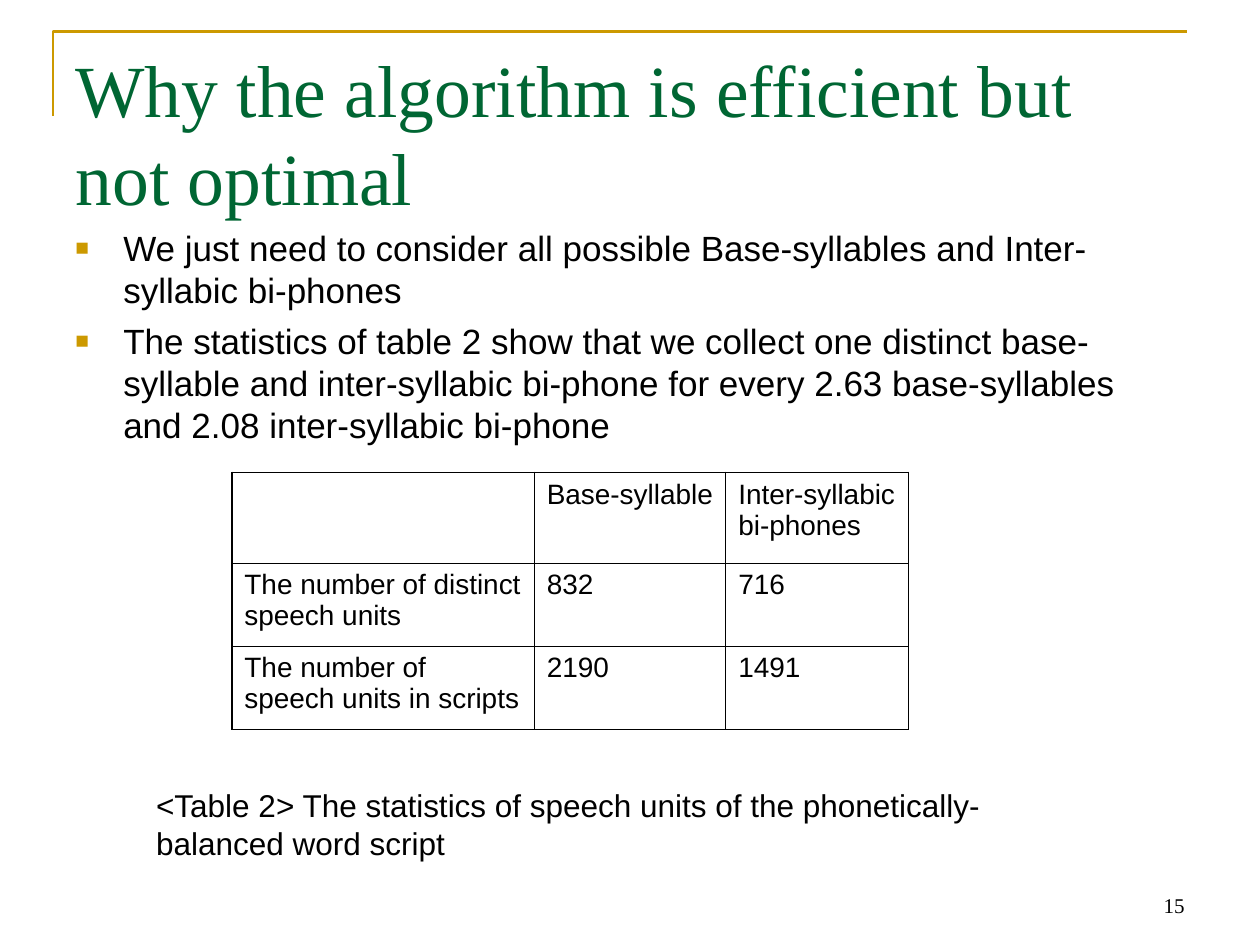
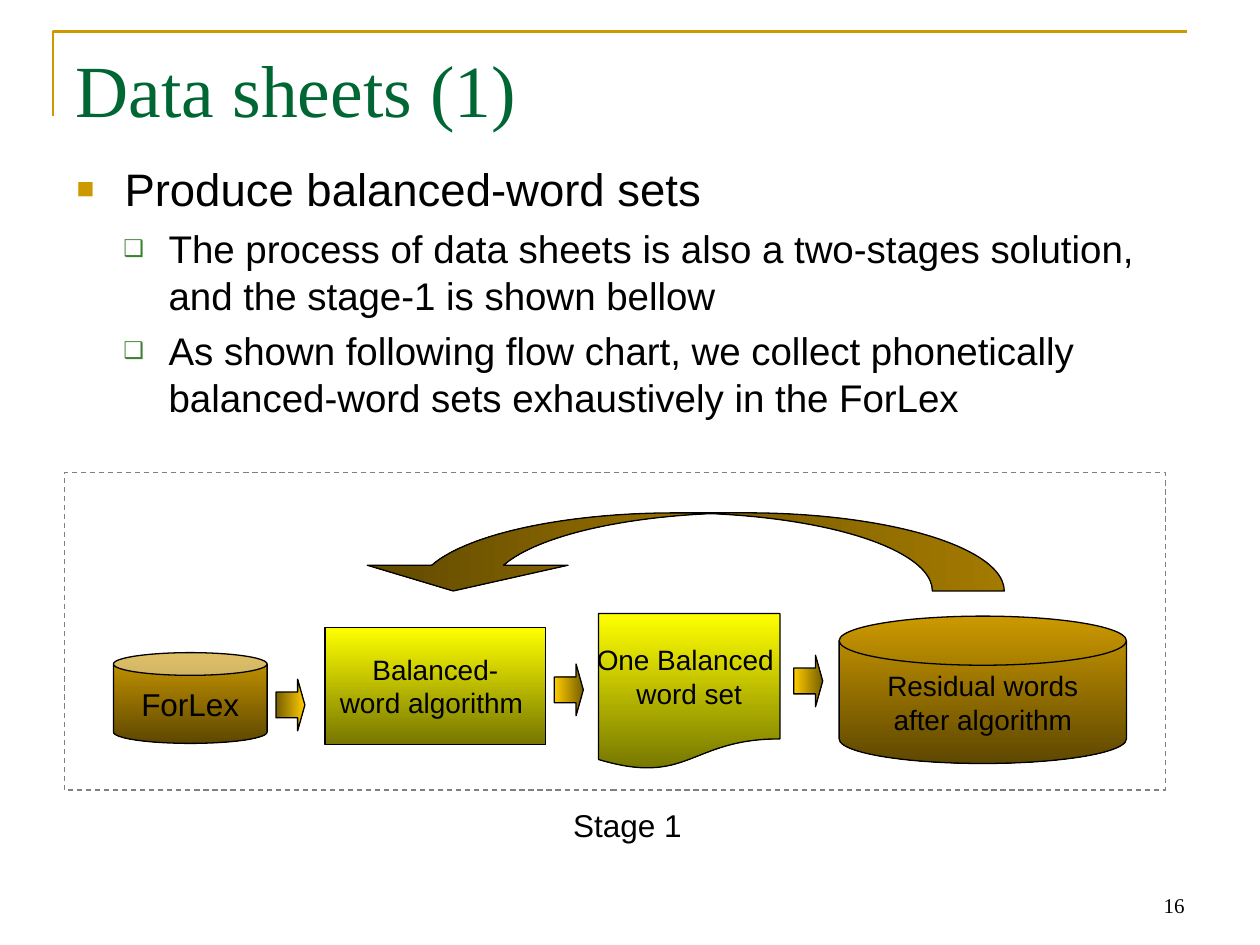
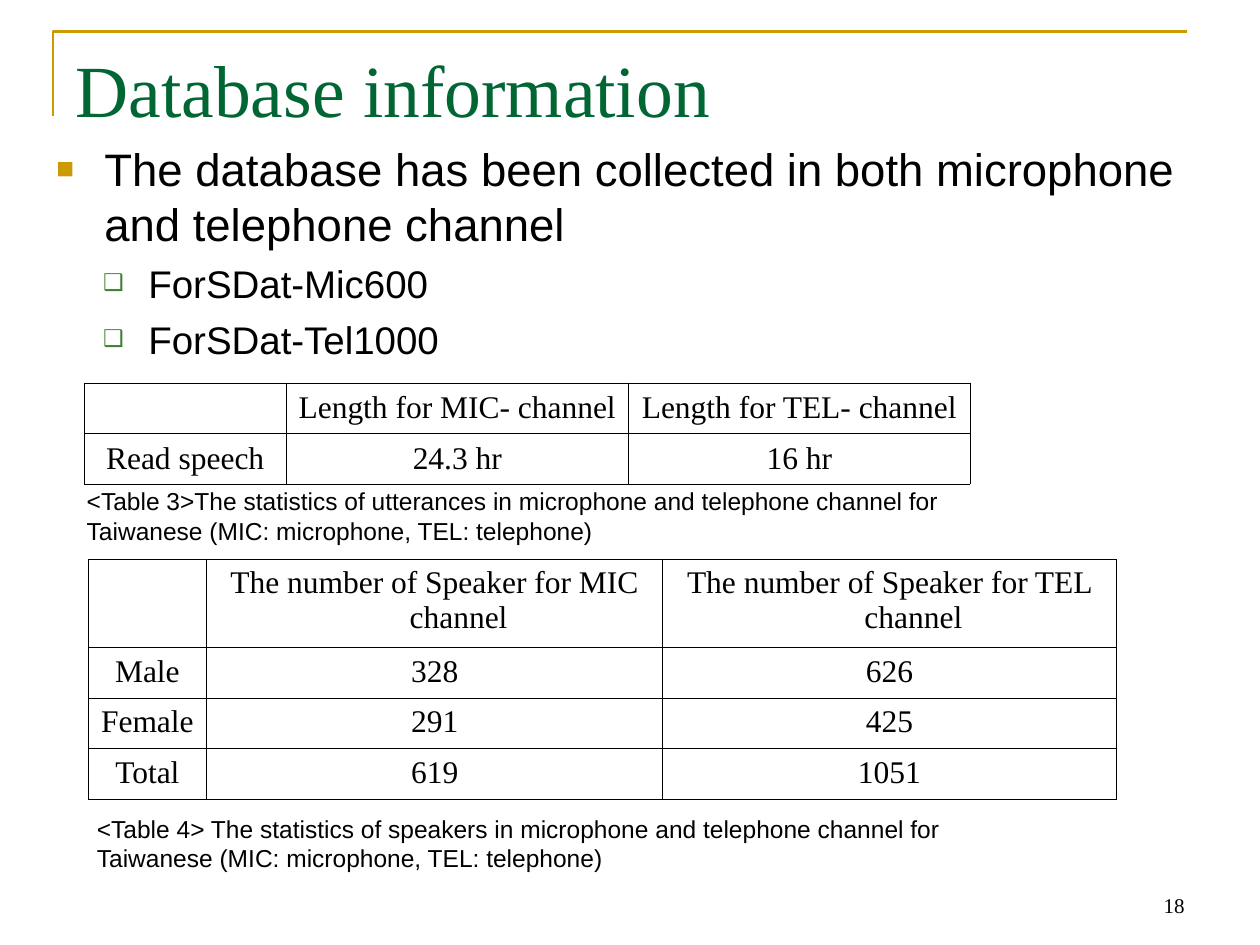
from dataclasses import dataclass

from lxml import etree
from pptx import Presentation
from pptx.dml.color import RGBColor
from pptx.enum.dml import MSO_LINE
from pptx.enum.shapes import MSO_SHAPE
from pptx.enum.text import MSO_ANCHOR, PP_ALIGN
from pptx.oxml.ns import qn
from pptx.util import Inches, Pt

DASH = MSO_LINE.DASH
LEFT, CENTER, RIGHT = PP_ALIGN.LEFT, PP_ALIGN.CENTER, PP_ALIGN.RIGHT
TOP, MIDDLE, BOTTOM = MSO_ANCHOR.TOP, MSO_ANCHOR.MIDDLE, MSO_ANCHOR.BOTTOM
CAN, PROCESS = MSO_SHAPE.CAN, MSO_SHAPE.FLOWCHART_PROCESS
DOCUMENT, DISK = MSO_SHAPE.FLOWCHART_DOCUMENT, MSO_SHAPE.FLOWCHART_MAGNETIC_DISK
RIGHT_ARROW, CURVED_ARROW = MSO_SHAPE.RIGHT_ARROW, MSO_SHAPE.CURVED_UP_ARROW
RECTANGLE = MSO_SHAPE.RECTANGLE

SANS, SERIF = "Arial", "Times New Roman"
BLACK, GREEN, GOLD, GRAY = "000000", "006633", "CC9900", "808080"
GOLD_SHADE = (GOLD, "5E4700")
YELLOW_SHADE = ("FFFF00", "767600")
ARROW_SHADE = ("FFCC00", "765E00")
THIN, THICK = 0.45, 1.08

Box = tuple[float, float, float, float]


@dataclass(frozen=True)
class BulletStyle:
    symbol: str
    color: str
    percent: int
    margin: float
    hanging: float


@dataclass(frozen=True)
class Bullet:
    text: str
    size: float
    level: int = 0


@dataclass(frozen=True)
class FlowShape:
    kind: int
    box: Box
    shade: tuple[str, str]
    angle: int = 270
    lines: tuple[str, ...] = ()
    size: float = 16
    adjustments: tuple[float, ...] = ()
    rotation: int = 0


@dataclass(frozen=True)
class TableStyle:
    font: str
    size: float
    align: int = LEFT
    anchor: int = TOP
    outer_border: float = THIN
    hanging: float = 0


BULLET_STYLES = (
    BulletStyle("■", GOLD, 65, 0.38, 0.38),
    BulletStyle("❑", "3B812F", 60, 0.73, 0.36),
)

FLOW_SHAPES = (
    FlowShape(CAN, (0.9, 5.18, 1.22, 0.72), GOLD_SHADE, lines=("ForLex",), size=18,
              adjustments=(0.25,)),
    FlowShape(PROCESS, (2.58, 4.98, 1.75, 0.93), YELLOW_SHADE,
              lines=("Balanced-", "word algorithm ")),
    FlowShape(RIGHT_ARROW, (2.19, 5.39, 0.23, 0.41), ARROW_SHADE[::-1], 0,
              adjustments=(0.5, 0.25)),
    FlowShape(RIGHT_ARROW, (4.4, 5.27, 0.23, 0.41), ARROW_SHADE, 0, adjustments=(0.5, 0.25)),
    FlowShape(RIGHT_ARROW, (6.3, 5.2, 0.23, 0.41), ARROW_SHADE, 0, adjustments=(0.5, 0.25)),
    FlowShape(CURVED_ARROW, (2.8, 4.07, 5.17, 0.62), GOLD_SHADE, 0,
              adjustments=(0.92, 2.57, 0.33), rotation=180),
    FlowShape(DISK, (6.66, 4.89, 2.28, 1.17), GOLD_SHADE,
              lines=("Residual words", "after algorithm")),
    FlowShape(DOCUMENT, (4.75, 4.87, 1.44, 1.24), YELLOW_SHADE,
              lines=("One Balanced ", "word set")),
)


def rgb(color: str) -> RGBColor:
    return RGBColor.from_string(color)


def inches(box: Box) -> list[Inches]:
    return [Inches(value) for value in box]


def style(paragraph, font: str, size: float, color: str = BLACK, align: int = LEFT) -> None:
    paragraph.alignment = align
    paragraph.font.name = font
    paragraph.font.size = Pt(size)
    paragraph.font.color.rgb = rgb(color)


def hang(paragraph, margin: float, hanging: float) -> None:
    """Indent a paragraph and pull its first line back."""
    properties = paragraph._p.get_or_add_pPr()
    properties.set("marL", str(Inches(margin)))
    properties.set("indent", str(-Inches(hanging)))


def add_frame(slide, layout) -> None:
    """Put the corner line shared by all slides on the layout."""
    builder = slide.shapes.build_freeform(Inches(0.42), Inches(0.92))
    builder.add_line_segments(
        [(Inches(0.42), Inches(0.25)), (Inches(9.42), Inches(0.25))], close=False)
    frame = builder.convert_to_shape()
    frame.shadow.inherit = False
    frame.fill.background()
    frame.line.color.rgb = rgb(GOLD)
    frame.line.width = Pt(1.5)
    layout.shapes.element.append(frame.element)


def add_text(slide, box: Box, text: str, size: float, font: str = SANS,
             align: int = LEFT, anchor: int = TOP) -> None:
    frame = slide.shapes.add_textbox(*inches(box)).text_frame
    frame.word_wrap = True
    frame.vertical_anchor = anchor
    frame.text = text
    style(frame.paragraphs[0], font, size, align=align)


def add_slide(presentation, layout, title: str, number: int):
    slide = presentation.slides.add_slide(layout)
    shape = slide.shapes.title
    shape.left, shape.top, shape.width, shape.height = inches((0.5, 0.3, 9, 1.25))
    shape.text_frame.text = title
    shape.text_frame.vertical_anchor = TOP
    style(shape.text_frame.paragraphs[0], SERIF, 42, GREEN)
    add_text(slide, (7.17, 6.83, 2.33, 0.5), str(number), 12, SERIF, RIGHT, BOTTOM)
    return slide


def add_bullets(slide, box: Box, bullets: list[Bullet]) -> None:
    frame = slide.shapes.add_textbox(*inches(box)).text_frame
    frame.word_wrap = True
    for index, bullet in enumerate(bullets):
        paragraph = frame.add_paragraph() if index else frame.paragraphs[0]
        paragraph.text = bullet.text
        paragraph.level = bullet.level
        if index:
            paragraph.space_before = Pt(bullet.size / 4)
        look = BULLET_STYLES[bullet.level]
        hang(paragraph, look.margin, look.hanging)
        properties = paragraph._p.get_or_add_pPr()
        color = etree.SubElement(properties, qn("a:buClr"))
        etree.SubElement(color, qn("a:srgbClr"), val=look.color)
        etree.SubElement(properties, qn("a:buSzPct"), val=str(look.percent * 1000))
        etree.SubElement(properties, qn("a:buFont"), typeface=SANS)
        etree.SubElement(properties, qn("a:buChar"), char=look.symbol)
        style(paragraph, SANS, bullet.size)


def set_borders(cell, widths: dict[str, float]) -> None:
    properties = cell._tc.get_or_add_tcPr()
    for position, (side, width) in enumerate(widths.items()):
        line = etree.Element(qn(f"a:ln{side}"), w=str(Pt(width)))
        fill = etree.SubElement(line, qn("a:solidFill"))
        etree.SubElement(fill, qn("a:srgbClr"), val=BLACK)
        properties.insert(position, line)


def add_table(slide, left: float, top: float, widths: list[float], heights: list[float],
              rows: list[list[str]], look: TableStyle) -> None:
    box = (left, top, sum(widths), sum(heights))
    table = slide.shapes.add_table(len(rows), len(widths), *inches(box)).table
    table.first_row = table.horz_banding = False
    for column, width in zip(table.columns, widths):
        column.width = Inches(width)
    for row, height in zip(table.rows, heights):
        row.height = Inches(height)
    last_row, last_column = len(rows) - 1, len(widths) - 1
    for row_index, row in enumerate(rows):
        for column_index, text in enumerate(row):
            cell = table.cell(row_index, column_index)
            cell.text = text
            cell.vertical_anchor = look.anchor
            cell.fill.background()
            paragraph = cell.text_frame.paragraphs[0]
            hang(paragraph, look.hanging, look.hanging)
            style(paragraph, look.font, look.size, align=look.align)
            on_edge = {"L": column_index == 0, "R": column_index == last_column,
                       "T": row_index == 0, "B": row_index == last_row}
            set_borders(cell, {side: look.outer_border if edge else THIN
                               for side, edge in on_edge.items()})


def add_flow_shape(slide, item: FlowShape) -> None:
    shape = slide.shapes.add_shape(item.kind, *inches(item.box))
    shape.shadow.inherit = False
    shape.rotation = item.rotation
    for index, value in enumerate(item.adjustments):
        shape.adjustments[index] = value
    shape.fill.gradient()
    shape.fill.gradient_angle = item.angle
    for stop, color in zip(shape.fill.gradient_stops, item.shade):
        stop.color.rgb = rgb(color)
    shape.line.color.rgb = rgb(BLACK)
    shape.line.width = Pt(0.75)
    if item.lines:
        frame = shape.text_frame
        frame.word_wrap = False
        frame.vertical_anchor = MIDDLE
        frame.text = "\n".join(item.lines)
        for paragraph in frame.paragraphs:
            style(paragraph, SANS, item.size, align=CENTER)


def fill_efficiency_slide(slide) -> None:
    add_bullets(slide, (0.5, 1.75, 8.99, 4.52), [
        Bullet("We just need to consider all possible Base-syllables and "
               "Inter-syllabic bi-phones", 20),
        Bullet("The statistics of table 2 show that we collect one distinct base-syllable "
               "and inter-syllabic bi-phone for every 2.63 base-syllables and 2.08 "
               "inter-syllabic bi-phone", 20),
    ])
    add_table(slide, 1.84, 3.75, [2.4, 1.52, 1.45], [0.72, 0.66, 0.66], [
        ["", "Base-syllable", "Inter-syllabic bi-phones"],
        ["The number of distinct speech units", "832", "716"],
        ["The number of speech units in scripts", "2190", "1491"],
    ], TableStyle(SANS, 16, outer_border=THICK))
    add_text(slide, (1.14, 6.19, 7.01, 0.7), "<Table 2> The statistics of speech units of "
             "the phonetically-balanced word script", 18)


def fill_data_sheets_slide(slide) -> None:
    add_bullets(slide, (0.51, 1.23, 8.99, 5.99), [
        Bullet("Produce balanced-word sets", 26),
        Bullet("The process of data sheets is also a two-stages solution, and the stage-1 "
               "is shown bellow", 22, 1),
        Bullet("As shown following flow chart, we collect phonetically balanced-word sets "
               "exhaustively in the ForLex", 22, 1),
    ])
    for item in FLOW_SHAPES:
        add_flow_shape(slide, item)
    border = slide.shapes.add_shape(RECTANGLE, *inches((0.51, 3.75, 8.74, 2.52)))
    border.shadow.inherit = False
    border.fill.background()
    border.line.color.rgb = rgb(GRAY)
    border.line.width = Pt(0.75)
    border.line.dash_style = DASH
    add_text(slide, (4.45, 6.35, 1.18, 0.4), "Stage 1", 18)


def fill_database_slide(slide) -> None:
    add_bullets(slide, (0.35, 1.07, 9.3, 4.96), [
        Bullet("The database has been collected in both microphone and telephone channel", 26),
        Bullet("ForSDat-Mic600", 22, 1),
        Bullet("ForSDat-Tel1000", 22, 1),
    ])
    add_table(slide, 0.67, 3.04, [1.6, 2.72, 2.71], [0.4] * 2, [
        ["", "Length for MIC- channel", "Length for TEL- channel"],
        ["Read speech", "24.3 hr", "16 hr"],
    ], TableStyle(SERIF, 18, CENTER, MIDDLE, hanging=0.38))
    add_text(slide, (0.59, 3.81, 7.8, 0.57), "<Table 3>The statistics of utterances in "
             "microphone and telephone channel for Taiwanese (MIC: microphone, "
             "TEL: telephone)", 14)
    add_table(slide, 0.7, 4.44, [0.94, 3.62, 3.6], [0.7, 0.4, 0.4, 0.4], [
        ["", "The number of Speaker for MIC channel", "The number of Speaker for TEL channel"],
        ["Male", "328", "626"],
        ["Female", "291", "425"],
        ["Total", "619", "1051"],
    ], TableStyle(SERIF, 18, CENTER, hanging=0.38))
    add_text(slide, (0.67, 6.41, 7.72, 0.57), "<Table 4> The statistics of speakers in "
             "microphone and telephone channel for Taiwanese (MIC: microphone, "
             "TEL: telephone)", 14)


def main() -> None:
    presentation = Presentation()
    presentation.slide_width, presentation.slide_height = Inches(10), Inches(7.5)
    layout = presentation.slide_layouts[5]
    pages = (
        ("Why the algorithm is efficient but not optimal", 15, fill_efficiency_slide),
        ("Data sheets (1)", 16, fill_data_sheets_slide),
        ("Database information", 18, fill_database_slide),
    )
    for title, number, fill_slide in pages:
        slide = add_slide(presentation, layout, title, number)
        if number == 15:
            add_frame(slide, layout)
        fill_slide(slide)
    presentation.save("out.pptx")


if __name__ == "__main__":
    main()
